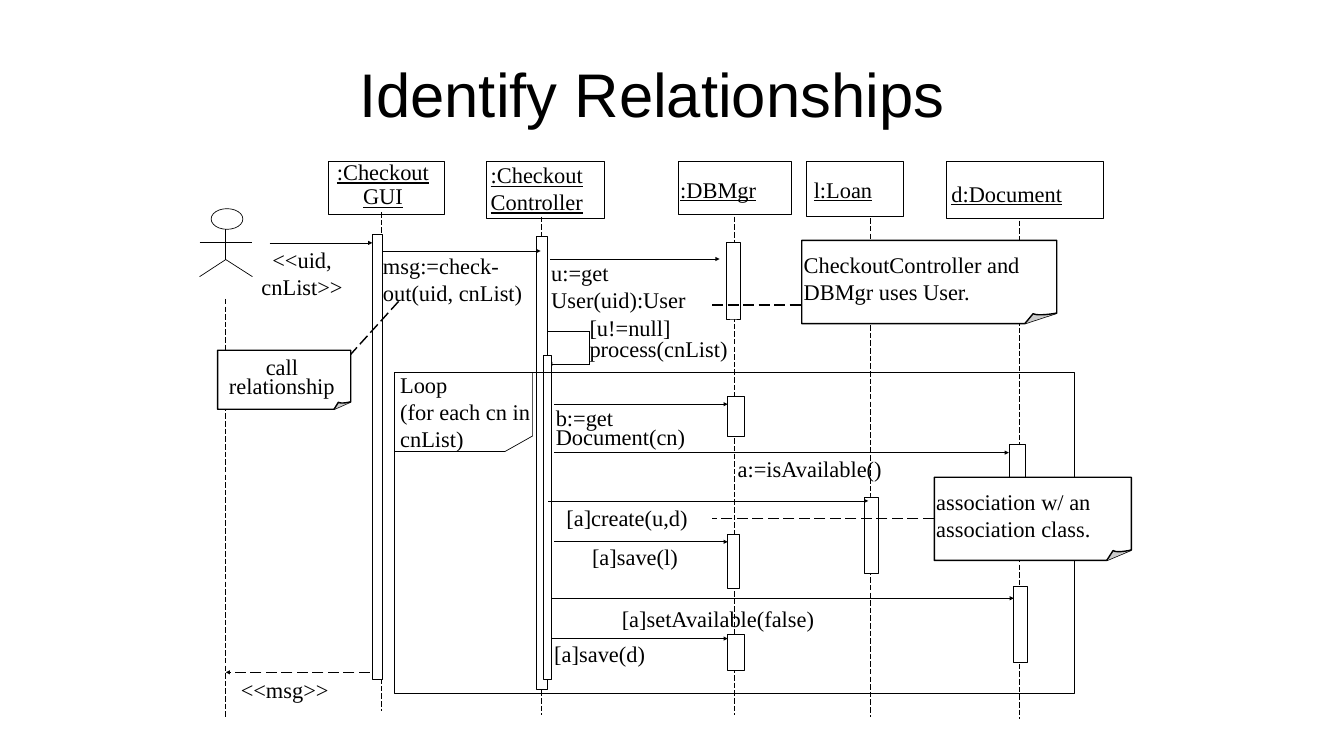
"""Build a slide with a checkout sequence diagram and its relationship notes."""
import pptx
import pptx.util
import pptx.dml.color
import pptx.enum.dml
import pptx.enum.shapes
import pptx.enum.text
import pptx.oxml
import pptx.oxml.ns

COLORS = {"ink": "000000", "paper": "FFFFFF", "fold": "CCCCCC"}
SHAPE = pptx.enum.shapes.MSO_SHAPE
CENTER = pptx.enum.text.PP_ALIGN.CENTER

PARTICIPANTS = [
    ((6.52, 3.21, 2.3, 1.04), (6.58, 3.1, 2.04, 1.16), [":Checkout", "GUI"], CENTER, 0.9),
    ((9.66, 3.21, 2.33, 1.12), (9.64, 3.1, 2.04, 1.21), [":Checkout", "Controller"], None, None),
    ((13.46, 3.21, 2.25, 1.04), (13.4, 3.39, 1.72, 0.7), [":DBMgr"], None, None),
    ((16, 3.21, 1.93, 1.08), (16.05, 3.39, 1.37, 0.7), ["l:Loan"], None, None),
    ((18.78, 3.21, 3.11, 1.12), (18.78, 3.47, 2.41, 0.7), ["d:Document"], None, None),
]
LIFELINES = [
    (4.47, 5.93, 14.23), (7.56, 4.21, 14.11), (10.75, 4.3, 14.19),
    (14.57, 4.3, 14.19), (17.27, 4.33, 14.23), (20.23, 4.38, 14.27),
]
ACTIVATIONS = [
    (7.39, 4.65, 0.2, 8.82), (10.64, 4.69, 0.23, 8.99), (10.78, 7.06, 0.17, 6.41),
    (14.41, 4.81, 0.28, 1.52), (14.44, 7.86, 0.33, 0.8), (14.44, 10.6, 0.24, 1.08),
    (14.44, 12.59, 0.33, 0.72), (17.15, 9.86, 0.28, 1.52),
    (20.02, 8.82, 0.33, 0.8), (20.1, 11.63, 0.28, 1.52),
]
MESSAGES = [
    (5.35, 7.39, 4.82), (7.61, 10.73, 4.98), (10.92, 14.28, 5.14), (11, 14.44, 8.02),
    (11, 20.02, 8.98), (10.88, 17.23, 9.94), (11, 14.44, 10.75),
    (10.96, 20.12, 11.87), (10.96, 14.44, 12.67),
]
LABELS = [
    ((4.32, 4.78, 3.35, 1.21), ["<<uid,", "cnList>>"], CENTER, None, True),
    ((7.5, 4.9, 3.51, 1.21), ["msg:=check-", "out(uid, cnList)"], None, None, True),
    ((10.84, 5.04, 2.88, 1.21), ["u:=get", "User(uid):User"], None, None, False),
    ((10.93, 8.06, 2.78, 1.06), ["b:=get", "Document(cn)"], None, 0.7, False),
    ((14.54, 8.93, 3.07, 0.7), ["a:=isAvailable()"], None, None, False),
    ((11.14, 9.9, 2.62, 0.7), ["[a]create(u,d)"], None, None, False),
    ((11.64, 10.82, 1.92, 0.7), ["[a]save(l)"], CENTER, 0.7, False),
    ((12.24, 11.9, 4.03, 0.7), ["[a]setAvailable(false)"], None, None, False),
    ((10.9, 12.74, 2.02, 0.7), ["[a]save(d)"], None, 0.7, False),
    ((4.68, 13.32, 1.96, 0.7), ["<<msg>>"], None, None, False),
]
NOTES = [
    ((4.32, 6.95, 2.64, 1.17), (4.11, 7.06, 2.97, 1.06), "call relationship",
     CENTER, 0.7, (7.91, 5.98, 6.96, 7.03)),
    ((18.54, 9.47, 3.91, 1.65), (18.48, 9.58, 3.99, 1.21), "association w/ an association class.",
     None, None, (18.53, 10.29, 14.12, 10.29)),
    ((15.91, 4.77, 5.06, 1.65), (15.85, 4.88, 5.06, 1.21), "CheckoutController and DBMgr uses User.",
     None, None, (14.13, 6.05, 15.91, 6.05)),
]


def length(inches):
    """Turn inches into a slide length."""
    return pptx.util.Cm(inches * 2.54)


def color(name):
    """Look up a colour by its role."""
    return pptx.dml.color.RGBColor.from_string(COLORS[name])


def style(sp, fill=None, width=1):
    """Set the fill and outline of a shape; None leaves either out."""
    sp.shadow.inherit = False
    if fill:
        sp.fill.solid()
        sp.fill.fore_color.rgb = color(fill)
    else:
        sp.fill.background()
    if width:
        sp.line.color.rgb = color("ink")
        sp.line.width = pptx.util.Pt(width)
    else:
        sp.line.fill.background()


def add_box(s, at, fill=None, kind=SHAPE.RECTANGLE):
    """Add an outlined preset shape."""
    style(s.shapes.add_shape(kind, *map(length, at)), fill)


def add_line(s, ends, width=1, dashed=False, arrow=False):
    """Add a straight line, optionally dashed or with an arrowhead at its end."""
    cx = s.shapes.add_connector(pptx.enum.shapes.MSO_CONNECTOR.STRAIGHT, *map(length, ends))
    cx.line.color.rgb = color("ink")
    cx.line.width = pptx.util.Pt(width)
    if dashed:
        cx.line.dash_style = pptx.enum.dml.MSO_LINE.LONG_DASH
    if arrow:
        tail = pptx.oxml.parse_xml(f'<a:tailEnd {pptx.oxml.ns.nsdecls("a")} type="triangle"/>')
        cx.line._get_or_add_ln().append(tail)
    cx._element.spPr.append(pptx.oxml.parse_xml(f'<a:effectLst {pptx.oxml.ns.nsdecls("a")}/>'))


def add_outline(s, points, closed=True, fill=None, width=1):
    """Add a freeform through the given points."""
    first, *rest = [tuple(map(length, point)) for point in points]
    builder = s.shapes.build_freeform(*first, scale=1.0)
    builder.add_line_segments(rest, close=closed)
    style(builder.convert_to_shape(), fill, width)


def add_text(s, at, lines, align=None, spacing=None, wrap=False,
             underline=None, size=32, font="Times New Roman", inset=0.1):
    """Add a text box with one paragraph per line and return its text frame."""
    tf = s.shapes.add_textbox(*map(length, at)).text_frame
    tf.word_wrap = wrap
    tf.auto_size = pptx.enum.text.MSO_AUTO_SIZE.SHAPE_TO_FIT_TEXT
    tf.margin_left = tf.margin_right = tf.margin_top = tf.margin_bottom = length(inset)
    tf.text = "\n".join(lines)
    for p in tf.paragraphs:
        p.alignment = align
        p.line_spacing = spacing
        p.font.name = font
        p.font.size = pptx.util.Pt(size)
        p.font.underline = underline
        p.font.color.rgb = color("ink")
    return tf


def add_title(s, text):
    """Add the slide title."""
    tf = add_text(s, (7.03, 0.6, 15.3, 2.5), [text], wrap=True, size=88, font="Arial")
    tf.auto_size = pptx.enum.text.MSO_AUTO_SIZE.NONE
    tf.vertical_anchor = pptx.enum.text.MSO_ANCHOR.MIDDLE


def add_actor(s):
    """Add the stick figure."""
    add_box(s, (4.19, 4.14, 0.63, 0.41), kind=SHAPE.OVAL)
    for ends in [(4.48, 4.55, 4.48, 5.15), (4.48, 5.15, 5.01, 5.49),
                 (4.48, 5.15, 3.96, 5.49), (3.96, 4.81, 5.01, 4.81)]:
        add_line(s, ends)


def add_self_call(s):
    """Add the controller's call to itself."""
    add_line(s, (10.88, 6.58, 11.7, 6.58))
    add_line(s, (11.7, 6.58, 11.7, 7.22))
    add_line(s, (11.7, 7.22, 10.88, 7.22), arrow=True)
    tf = add_text(s, (11.6, 6.13, 5.61, 1.21), ["[u!=null]", "process(cnList)"], wrap=True)
    tf.paragraphs[1].line_spacing = 0.75


def add_loop(s):
    """Add the loop frame with its corner tab."""
    add_box(s, (7.83, 7.39, 13.48, 6.37))
    add_outline(s, [(10.02, 8.96), (7.83, 8.96), (7.83, 7.39), (10.57, 7.39), (10.57, 8.65)])
    add_text(s, (7.94, 7.37, 2.71, 1.52), ["Loop", "(for each cn in cnList)"], wrap=True, inset=0)


def add_note(s, at, text_at, text, align, spacing, link):
    """Add a note with a curled corner and a dashed link."""
    x, y, w, h = at
    right, bottom = x + w, y + h
    fold_w, fold_h = w / 8, h / 8
    left, top = right - fold_w, bottom - fold_h
    add_line(s, link, width=2, dashed=True)
    add_outline(s, [(x, y), (x, bottom), (left, bottom), (right, top), (right, y)],
                fill="paper", width=2)
    curl = [(left, bottom)]
    for t in (i / 8 for i in range(9)):
        u = 1 - t
        across = 0.26 * u**3 + 3 * 0.35 * u * u * t + 3 * 0.6 * u * t * t + t**3
        up = 0.95 * u**3 + 3 * 0.8 * u * t + t**3
        curl.append((left + across * fold_w, bottom - up * fold_h))
    add_outline(s, curl, fill="fold", width=None)
    add_outline(s, curl, closed=False, width=2)
    add_text(s, text_at, [text], align, spacing, wrap=True)


def main():
    """Build and save the slide."""
    prs = pptx.Presentation()
    prs.slide_width, prs.slide_height = length(26.67), length(15)
    s = prs.slides.add_slide(prs.slide_layouts[6])
    add_title(s, "Identify Relationships")
    add_actor(s)
    for box, text_at, lines, align, spacing in PARTICIPANTS:
        add_box(s, box)
        add_text(s, text_at, lines, align, spacing, underline=True)
    for x, top, bottom in LIFELINES:
        add_line(s, (x, top, x, bottom), dashed=True)
    add_self_call(s)
    for at in ACTIVATIONS:
        add_box(s, at, "paper")
    for start, end, y in MESSAGES:
        add_line(s, (start, y, end, y), arrow=True)
    add_line(s, (7.34, 13.34, 4.48, 13.34), width=2, dashed=True, arrow=True)
    for label in LABELS:
        add_text(s, *label)
    add_loop(s)
    for note in NOTES:
        add_note(s, *note)
    prs.save("out.pptx")


if __name__ == "__main__":
    main()
